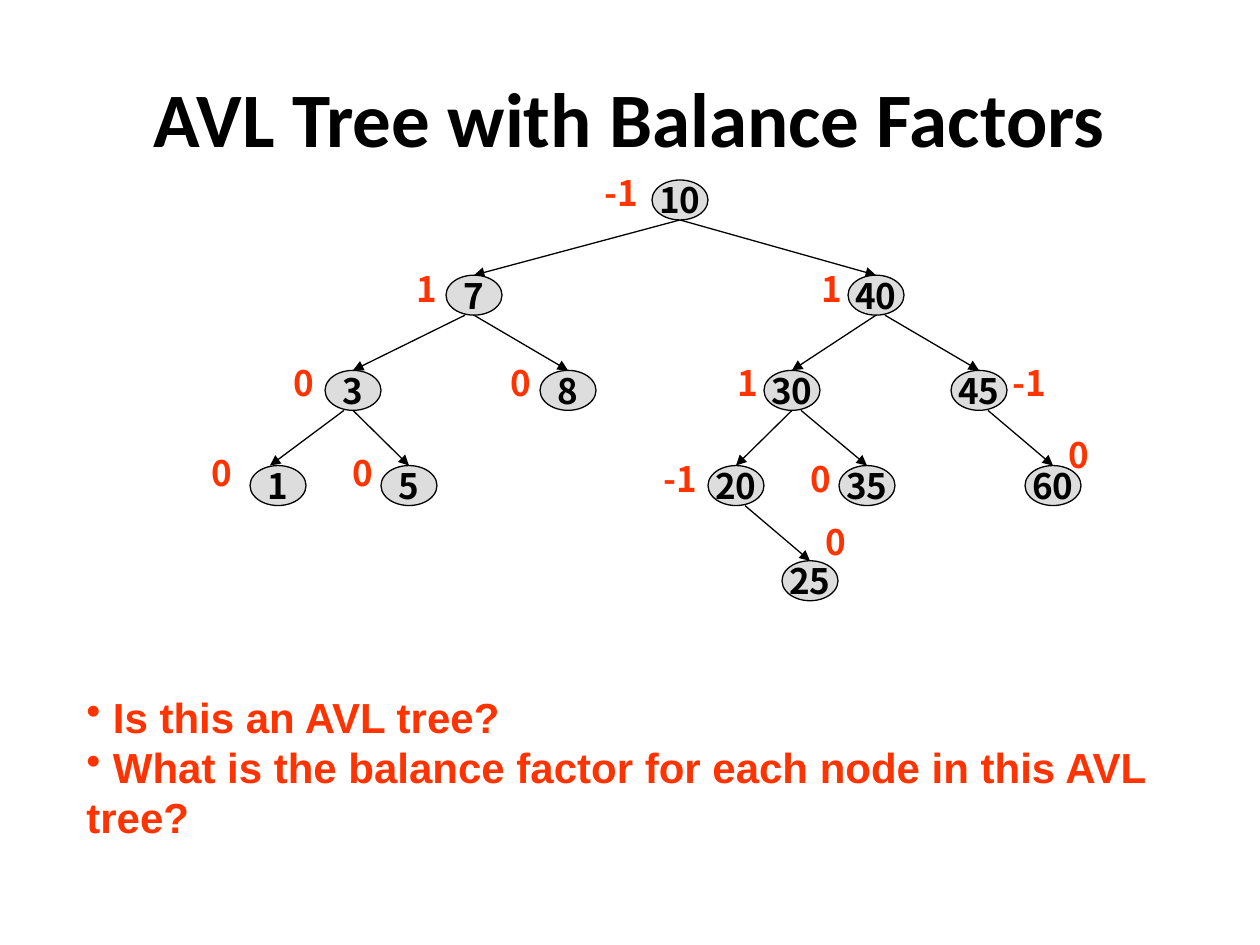
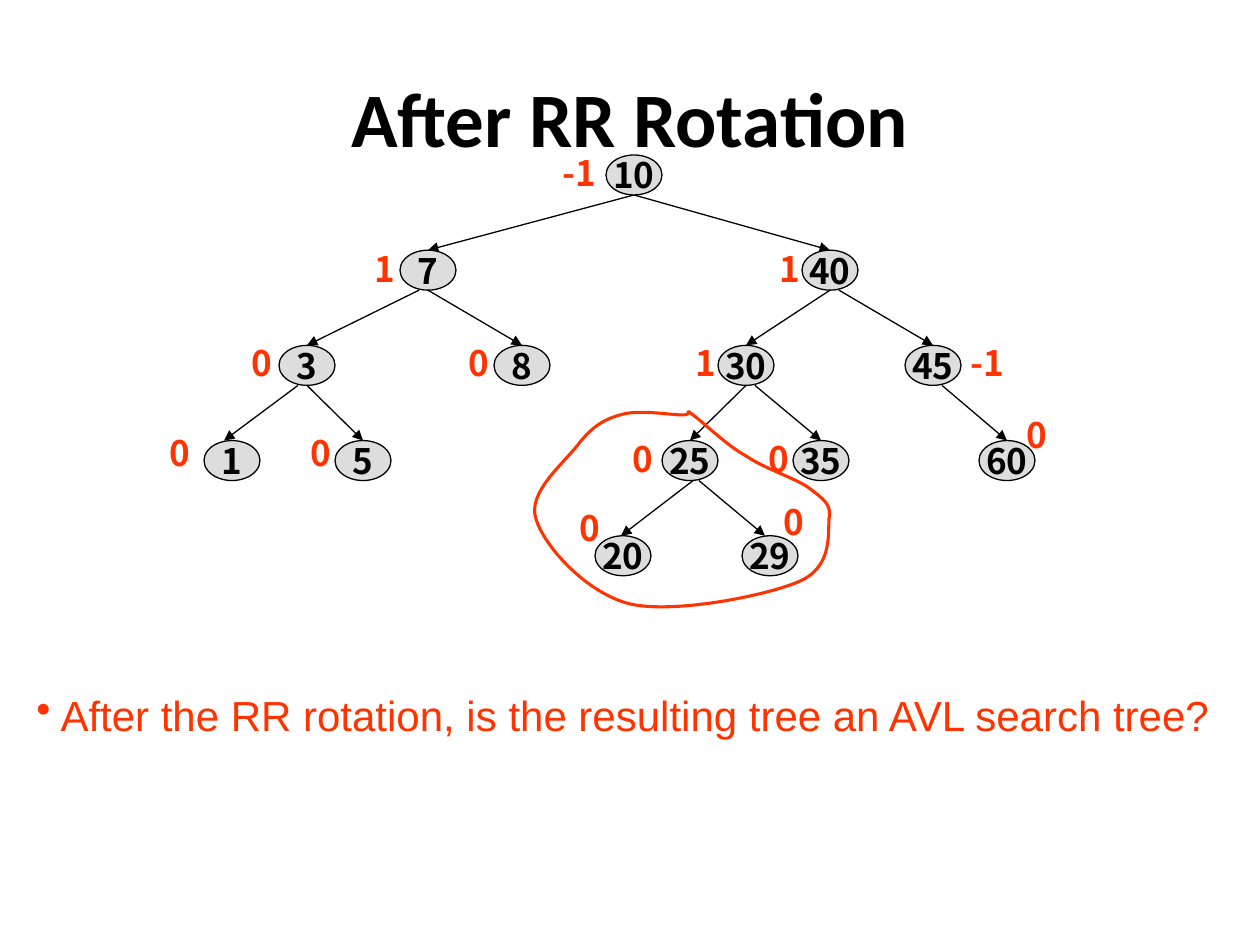
from itertools import chain

from lxml.etree import SubElement
from pptx import Presentation
from pptx.dml.color import RGBColor
from pptx.enum.shapes import MSO_CONNECTOR, MSO_SHAPE
from pptx.enum.text import MSO_ANCHOR, MSO_AUTO_SIZE, PP_ALIGN
from pptx.oxml.ns import qn
from pptx.util import Inches, Pt

BLACK = RGBColor(0x00, 0x00, 0x00)
GREY = RGBColor(0xDD, 0xDD, 0xDD)
RED = RGBColor(0xFF, 0x33, 0x00)

TITLE_FONT, BODY_FONT, TREE_FONT = "Calibri", "Arial", "Noto Sans CJK KR"
TITLE_ONLY = 5
PX = Inches(1) / 126
NODE_W, NODE_H = 56, 40
ROOT_TOP, LEVEL_GAP = 180, 95.2

# key: (centre x, level, parent, edge start shift, edge end shift,
#       balance factor, factor left, factor top)
SHARED_NODES = {
    "10": (680, 0, None, 0, 0, "-1", 592, 165),
    "7": (474, 1, "10", 0, 0, "1", 404, 261),
    "40": (876, 1, "10", 0, 0, "1", 809, 261),
    "3": (353, 2, "7", -9, 0, "0", 281, 355),
    "8": (568, 2, "7", 0, 0, "0", 498, 355),
    "30": (792, 2, "40", 0, 0, "1", 725, 355),
    "45": (979, 2, "40", 9, 0, "-1", 1000, 355),
    "1": (278, 3, "3", -9, -8, "0", 199, 445),
    "5": (409, 3, "3", 0, 0, "0", 340, 445),
    "35": (867, 3, "30", 9, 0, "0", 798, 451),
    "60": (1053, 3, "45", 9, 0, "0", 1056, 427),
}
BEFORE = SHARED_NODES | {
    "20": (736, 3, "30", 0, 0, "-1", 651, 451),
    "25": (810, 4, "20", 9, 0, "0", 813, 514),
}
AFTER = SHARED_NODES | {
    "25": (736, 3, "30", 0, 0, "0", 662, 451),
    "20": (669, 4, "25", 3, -2, "0", 609, 520),
    "29": (816, 4, "25", 9, -5, "0", 813, 514),
}

# Loop around the rotated subtree: two control points and an end per curve
LOOP_START = (693, 415)
LOOP_CURVES = [
    ((683, 407), (694, 415), (683, 415)),
    ((670, 415), (638, 409), (620, 415)),
    ((602, 420), (591, 428), (577, 446)),
    ((563, 464), (527, 493), (536, 519)),
    ((544, 546), (586, 593), (630, 604)),
    ((674, 614), (765, 596), (798, 582)),
    ((832, 568), (828, 536), (829, 519)),
    ((832, 504), (823, 499), (809, 488)),
    ((795, 478), (765, 469), (746, 456)),
    ((726, 445), (703, 422), (693, 415)),
]


def emu(*pixels):
    """Turn pixel lengths into EMU."""
    return [round(n * PX) for n in pixels]


class Deck:
    """Holds the style and the current slide."""

    def __init__(self):
        """Start an empty presentation."""
        self.prs = Presentation()
        self.prs.slide_width, self.prs.slide_height = Inches(10), Inches(7.5)

    def slide(self, title):
        """Add a slide with a centred title."""
        self.s = self.prs.slides.add_slide(self.prs.slide_layouts[TITLE_ONLY])
        sp = self.s.shapes.title
        sp.left, sp.top, sp.width, sp.height = emu(63, 38, 1134, 157)
        tf = sp.text_frame
        tf.vertical_anchor = MSO_ANCHOR.MIDDLE
        p = tf.paragraphs[0]
        p.alignment = PP_ALIGN.CENTER
        self.run(p, title, 44, TITLE_FONT, BLACK)

    def run(self, p, text, size, font, color, bold=True):
        """Add one formatted run to a paragraph."""
        r = p.add_run()
        r.text = text
        r.font.size, r.font.name, r.font.bold = Pt(size), font, bold
        r.font.color.rgb = color

    def bullets(self, box, lines, bold):
        """Add a text box of bulleted questions."""
        tf = self.s.shapes.add_textbox(*emu(*box)).text_frame
        tf.word_wrap = True
        tf.auto_size = MSO_AUTO_SIZE.SHAPE_TO_FIT_TEXT
        for i, line in enumerate(lines):
            p = tf.add_paragraph() if i else tf.paragraphs[0]
            SubElement(p._p.get_or_add_pPr(), qn("a:buChar"), char="•")
            self.run(p, " " + line, 24, BODY_FONT, RED, bold)

    def factor(self, text, x, y):
        """Write a balance factor beside its node."""
        box = emu(x, y, 68 if len(text) > 1 else 45, 55)
        tf = self.s.shapes.add_textbox(*box).text_frame
        tf.word_wrap = False
        tf.auto_size = MSO_AUTO_SIZE.SHAPE_TO_FIT_TEXT
        self.run(tf.paragraphs[0], text, 20, TREE_FONT, RED)

    def edge(self, x1, y1, x2, y2):
        """Draw an arrow from a parent to a child."""
        line = self.s.shapes.add_connector(
            MSO_CONNECTOR.STRAIGHT, *emu(x1, y1, x2, y2))
        line.line.color.rgb, line.line.width = BLACK, Pt(0.75)
        SubElement(line.line._get_or_add_ln(), qn("a:tailEnd"), type="triangle")
        SubElement(line._element.spPr, qn("a:effectLst"))

    def node(self, key, x, y):
        """Draw a node centred on x with its top at y."""
        sp = self.s.shapes.add_shape(
            MSO_SHAPE.OVAL, *emu(x - NODE_W / 2, y, NODE_W, NODE_H))
        sp.shadow.inherit = False
        sp.fill.solid()
        sp.fill.fore_color.rgb = GREY
        sp.line.color.rgb, sp.line.width = BLACK, Pt(0.75)
        tf = sp.text_frame
        tf.margin_left = tf.margin_right = tf.margin_top = tf.margin_bottom = 0
        tf.word_wrap = False
        tf.vertical_anchor = MSO_ANCHOR.MIDDLE
        p = tf.paragraphs[0]
        p.alignment = PP_ALIGN.CENTER
        self.run(p, key, 20, TREE_FONT, BLACK)

    def tree(self, nodes, node_shift=(0, 0), factor_shift=(0, 0)):
        """Draw edges, balance factors and nodes of a tree."""
        dx, dy = node_shift
        place = {key: (row[0] + dx, ROOT_TOP + LEVEL_GAP * row[1] + dy)
                 for key, row in nodes.items()}
        for key, (_, _, parent, start, end, *_) in nodes.items():
            if parent:
                (px, py), (x, y) = place[parent], place[key]
                self.edge(px + start, py + NODE_H, x + end, y)
        for *_, text, x, y in nodes.values():
            self.factor(text, x + factor_shift[0], y + factor_shift[1])
        for key, (x, y) in place.items():
            self.node(key, x, y)

    def loop(self, start, curves):
        """Draw a closed curved outline without fill."""
        ends = [curve[-1] for curve in curves]
        fb = self.s.shapes.build_freeform(*start, scale=PX)
        fb.add_line_segments(ends, close=True)
        sp = fb.convert_to_shape()
        sp.shadow.inherit = False
        sp.fill.background()
        sp.line.color.rgb, sp.line.width = RED, Pt(1.75)
        left, top = (min(axis) for axis in zip(*chain([start], ends)))
        segments = list(sp._element.iter(qn("a:lnTo")))
        for segment, curve in zip(segments, curves):
            segment.tag = qn("a:cubicBezTo")
            segment.clear()
            for x, y in curve:
                SubElement(segment, qn("a:pt"), x=str(x - left), y=str(y - top))


def main():
    """Build both slides and save them."""
    deck = Deck()
    deck.slide("AVL Tree with Balance Factors")
    deck.bullets((74, 685, 1142, 165),
                 ["Is this an AVL tree? ",
                  "What is the balance factor for each node in this AVL tree?"],
                 bold=True)
    deck.tree(BEFORE)

    deck.slide("After RR Rotation")
    deck.tree(AFTER, node_shift=(-46, -25), factor_shift=(-42, -20))
    deck.loop(LOOP_START, LOOP_CURVES)
    deck.bullets((24, 683, 1221, 115),
                 ["After the RR rotation, is the resulting tree "
                  "an AVL search tree?"],
                 bold=False)
    deck.prs.save("out.pptx")


main()
